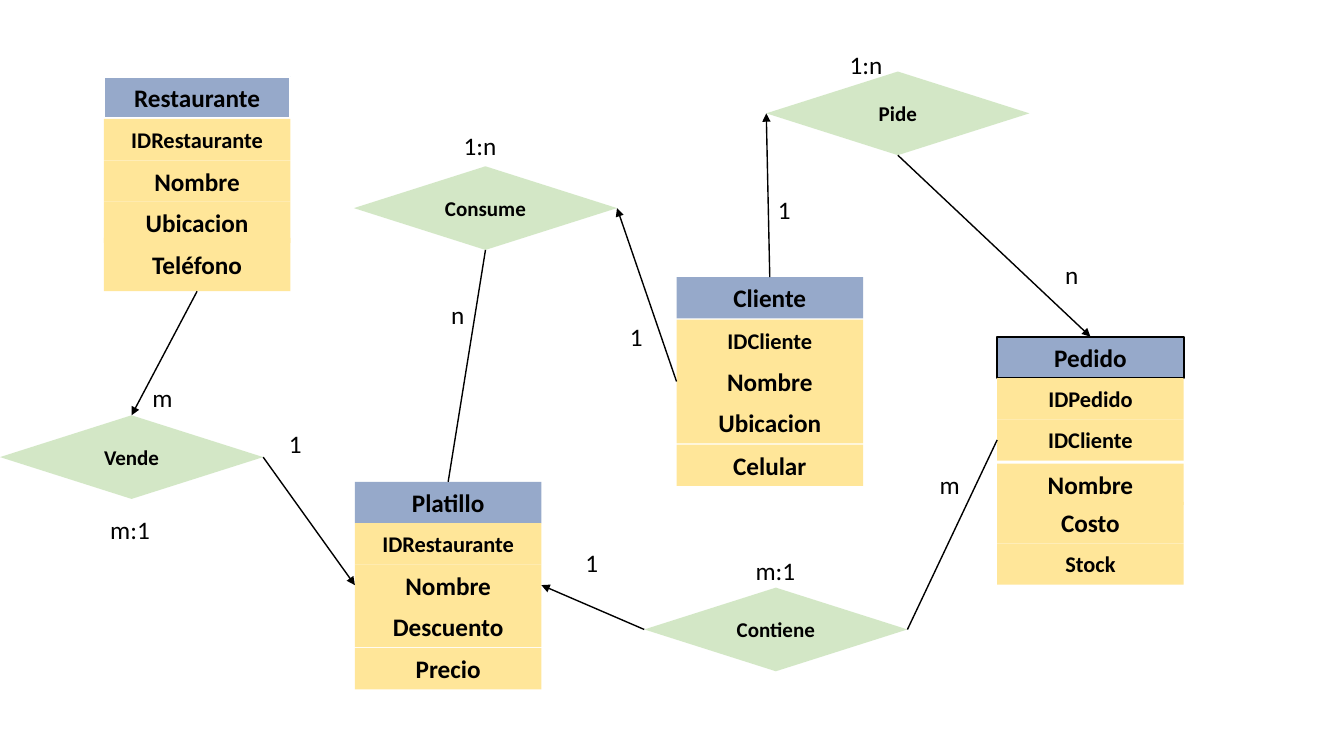
from pptx import Presentation
from pptx.dml.color import RGBColor
from pptx.enum.shapes import MSO_CONNECTOR, MSO_SHAPE
from pptx.enum.text import MSO_ANCHOR, MSO_AUTO_SIZE, PP_ALIGN
from pptx.oxml.ns import qn
from pptx.util import Emu, Pt
from lxml import etree

RECT, DIAMOND = MSO_SHAPE.RECTANGLE, MSO_SHAPE.DIAMOND
STRAIGHT = MSO_CONNECTOR.STRAIGHT
MIDDLE, CENTER = MSO_ANCHOR.MIDDLE, PP_ALIGN.CENTER
GROW = MSO_AUTO_SIZE.SHAPE_TO_FIT_TEXT
TOP, LEFT, BOTTOM, RIGHT = range(4)
SCALE = 9144
BLUE, YELLOW, GREEN = "2F5597", "FFE699", "A9D18E"
BLACK, WHITE = "000000", "FFFFFF"
FONT = "Calibri"
WIDE, TALL, PITCH = 185, 41, 41.25


def px(n):
    return Emu(n * SCALE)


def color(code):
    return RGBColor.from_string(code)


class Diagram:
    """Draws entities, relations, links and labels on one slide."""

    def __init__(self, slide):
        self.shapes = slide.shapes

    def letter(self, frame, text, size, bold):
        frame.word_wrap = True
        para = frame.paragraphs[0]
        para.alignment = CENTER
        run = para.add_run()
        run.text = text
        run.font.name = FONT
        run.font.size = Pt(size)
        run.font.bold = bold
        run.font.color.rgb = color(BLACK)

    def box(self, kind, area, text, size, fill, clear=False, edge=None):
        shape = self.shapes.add_shape(kind, *map(px, area))
        shape.shadow.inherit = False
        shape.fill.solid()
        shape.fill.fore_color.rgb = color(fill)
        if clear:
            tint = shape._element.spPr.find(qn("a:solidFill"))[0]
            etree.SubElement(tint, qn("a:alpha"), val="50000")
        if edge:
            shape.line.color.rgb = color(edge)
            shape.line.width = Pt(1.5)
        else:
            shape.line.fill.background()
        shape.text_frame.vertical_anchor = MIDDLE
        self.letter(shape.text_frame, text, size, True)
        return shape

    def head(self, x, y, text, edge=None):
        return self.box(RECT, (x, y, WIDE, TALL), text, 18, BLUE, True, edge)

    def row(self, x, y, text, size=18, tall=TALL):
        return self.box(RECT, (x, y, WIDE, tall), text, size, YELLOW)

    def stack(self, x, y, key, *names):
        rows = [self.row(x, y, key, 16)]
        for i, name in enumerate(names, 1):
            rows.append(self.row(x, y + round(i * PITCH), name))
        return rows

    def relate(self, x, y, text):
        return self.box(DIAMOND, (x, y, 261, 83), text, 15, GREEN, True)

    def link(self, start, out, end, into, arrow=True):
        line = self.shapes.add_connector(STRAIGHT, 0, 0, 0, 0)
        line.begin_connect(start, out)
        line.end_connect(end, into)
        line.line.color.rgb = color(BLACK)
        line.line.width = Pt(1)
        props = line._element.spPr
        if arrow:
            etree.SubElement(props.find(qn("a:ln")), qn("a:tailEnd"), type="triangle")
        etree.SubElement(props, qn("a:effectLst"))

    def label(self, x, y, text):
        area = self.shapes.add_textbox(*map(px, (x, y, 64, 41)))
        area.text_frame.auto_size = GROW
        self.letter(area.text_frame, text, 18, False)


def main():
    deck = Presentation()
    deck.slide_width, deck.slide_height = px(1333), px(750)
    art = Diagram(deck.slides.add_slide(deck.slide_layouts[6]))

    art.head(103, 76, "Restaurante", WHITE)
    art.stack(103, 118, "IDRestaurante", "Nombre", "Ubicacion")
    phone = art.row(103, 236, "Teléfono", tall=53)

    client = art.head(671, 275, "Cliente")
    person = art.stack(671, 317, "IDCliente", "Nombre", "Ubicacion", "Celular")

    dish = art.head(352, 478, "Platillo")
    meal = art.stack(352, 519, "IDRestaurante", "Nombre", "Descuento", "Precio")

    order = art.head(989, 334, "Pedido", BLACK)
    art.row(989, 375, "IDPedido", 16)
    buyer = art.row(989, 416, "IDCliente", 16)
    art.row(989, 460, "Nombre")
    art.row(989, 498, "Costo")
    art.row(989, 539, "Stock", 16)

    eats = art.relate(351, 165, "Consume")
    sells = art.relate(0, 412, "Vende")
    asks = art.relate(760, 71, "Pide")
    holds = art.relate(639, 583, "Contiene")

    art.link(person[1], LEFT, eats, RIGHT)
    art.link(eats, BOTTOM, dish, TOP, False)
    art.link(sells, RIGHT, meal[1], LEFT)
    art.link(phone, BOTTOM, sells, TOP)
    art.link(client, TOP, asks, LEFT)
    art.link(asks, BOTTOM, order, TOP)
    art.link(buyer, LEFT, holds, RIGHT, False)
    art.link(holds, LEFT, meal[1], RIGHT)

    for x, y, text in (
        (599, 314, "1"), (422, 292, "n"), (444, 124, "1:n"),
        (129, 374, "m"), (261, 420, "1"), (97, 505, "m:1"),
        (746, 188, "1"), (1031, 252, "n"), (827, 44, "1:n"),
        (910, 461, "m"), (555, 538, "1"), (737, 546, "m:1"),
    ):
        art.label(x, y, text)

    deck.save("out.pptx")


if __name__ == "__main__":
    main()
